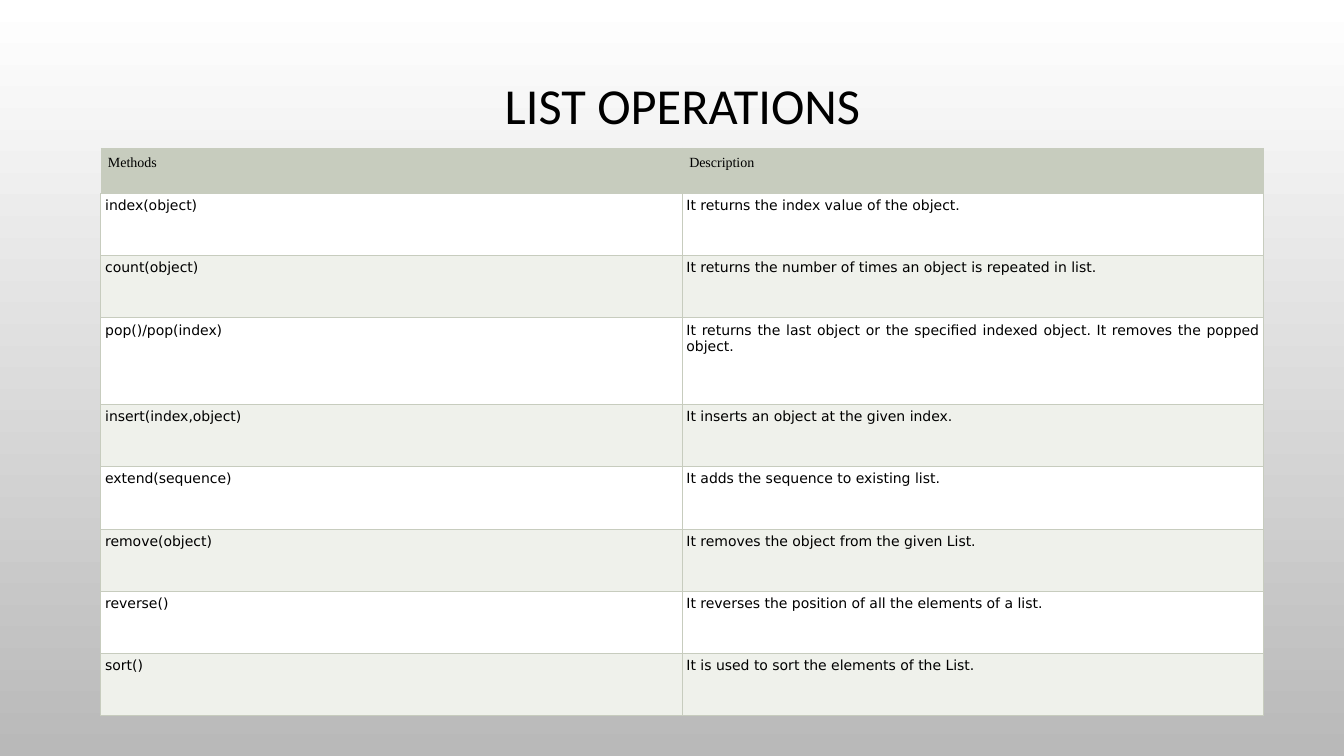
from lxml import etree
from pptx import Presentation
from pptx import util as u
from pptx.dml.color import RGBColor
from pptx.enum import text
from pptx.oxml.ns import qn

HUES = {"ink": "000000", "head": "C7CCBE", "odd": "FFFFFF", "even": "EFF1EB",
        "top": "FFFFFF", "foot": "B9B9B9"}
METHODS = [
    ("index(object)", "It returns the index value of the object."),
    ("count(object)", "It returns the number of times an object is repeated in list."),
    ("pop()/pop(index)", "It returns the last object or the specified indexed object. "
                         "It removes the popped object."),
    ("insert(index,object)", "It inserts an object at the given index."),
    ("extend(sequence)", "It adds the sequence to existing list."),
    ("remove(object)", "It removes the object from the given List."),
    ("reverse()", "It reverses the position of all the elements of a list."),
    ("sort()", "It is used to sort the elements of the List."),
]


def rgb(name):
    return RGBColor.from_string(HUES[name])


def put(item, vals):
    """Set each named attribute of item."""
    for key, val in vals.items():
        setattr(item, key, val)


class Page:
    """Holds the style and the current slide."""
    ALIGN = text.PP_ALIGN
    HEAD = {"name": "Times New Roman", "size": u.Pt(10), "bold": False}
    BODY = {"name": "DejaVu Sans", "size": u.Pt(10), "bold": False}
    TITLE = {"name": "Calibri", "size": u.Pt(36), "bold": False}

    def __init__(self, deck):
        self.slide = deck.slides.add_slide(deck.slide_layouts[5])

    def back(self, *names):
        fill = self.slide.background.fill
        fill.gradient()
        fill.gradient_angle = 270
        for stop, name in zip(fill.gradient_stops, names):
            stop.color.rgb = rgb(name)

    def label(self, frame, words, font, para):
        line = frame.paragraphs[0]
        put(line, para)
        run = line.add_run()
        run.text = words
        put(run.font, font)
        run.font.color.rgb = rgb("ink")

    def title(self, words, box):
        shape = self.slide.shapes.title
        put(shape, dict(zip(("left", "top", "width", "height"), box)))
        put(shape.text_frame, {"vertical_anchor": text.MSO_ANCHOR.MIDDLE,
                               "word_wrap": True})
        self.label(shape.text_frame, words, self.TITLE,
                   {"alignment": self.ALIGN.CENTER, "line_spacing": 0.9})

    def edge(self, cell, wide):
        """Rule the cell's left, right, top and bottom sides."""
        props = cell._tc.get_or_add_tcPr()
        for spot, (side, pts) in enumerate(zip("LRTB", wide)):
            line = etree.Element(qn(f"a:ln{side}"), w=str(u.Pt(pts)))
            fill = etree.SubElement(line, qn("a:solidFill"))
            etree.SubElement(fill, qn("a:srgbClr"), val=HUES["head"])
            props.insert(spot, line)

    def cell(self, cell, words, row):
        top = row == 0
        pad = u.Cm(0.18 if top else 0.11)
        put(cell, {f"margin_{side}": pad
                   for side in ("left", "right", "top", "bottom")})
        cell.fill.solid()
        cell.fill.fore_color.rgb = rgb("head" if top else "odd" if row % 2 else "even")
        self.edge(cell, (0.38, 0.38, 0.38, 0.75) if top else (0.75,) * 4)
        self.label(cell.text_frame, words, self.HEAD if top else self.BODY,
                   {"alignment": self.ALIGN.LEFT if top else self.ALIGN.JUSTIFY})

    def table(self, rows, left, top, wide, tall):
        grid = self.slide.shapes.add_table(
            len(rows), len(wide), left, top, sum(wide), sum(tall)).table
        put(grid, {"first_row": False, "horz_banding": False})
        for col, size in zip(grid.columns, wide):
            col.width = size
        for row, (words, size) in enumerate(zip(rows, tall)):
            grid.rows[row].height = size
            for col, word in enumerate(words):
                self.cell(grid.cell(row, col), word, row)


def main():
    deck = Presentation()
    put(deck, {"slide_width": u.Cm(33.87), "slide_height": u.Cm(19.05)})
    page = Page(deck)
    page.back("top", "foot")
    page.title("LIST OPERATIONS", [u.Cm(n) for n in (3.05, 1.73, 28.3, 2)])
    tall = [u.Cm(2.18 if name.startswith("pop") else 1.57) for name, _ in METHODS]
    page.table([("Methods", "Description")] + METHODS, u.Cm(2.54), u.Cm(3.73),
               [u.Cm(14.65)] * 2, [u.Cm(1.14)] + tall)
    deck.save("out.pptx")


if __name__ == "__main__":
    main()
